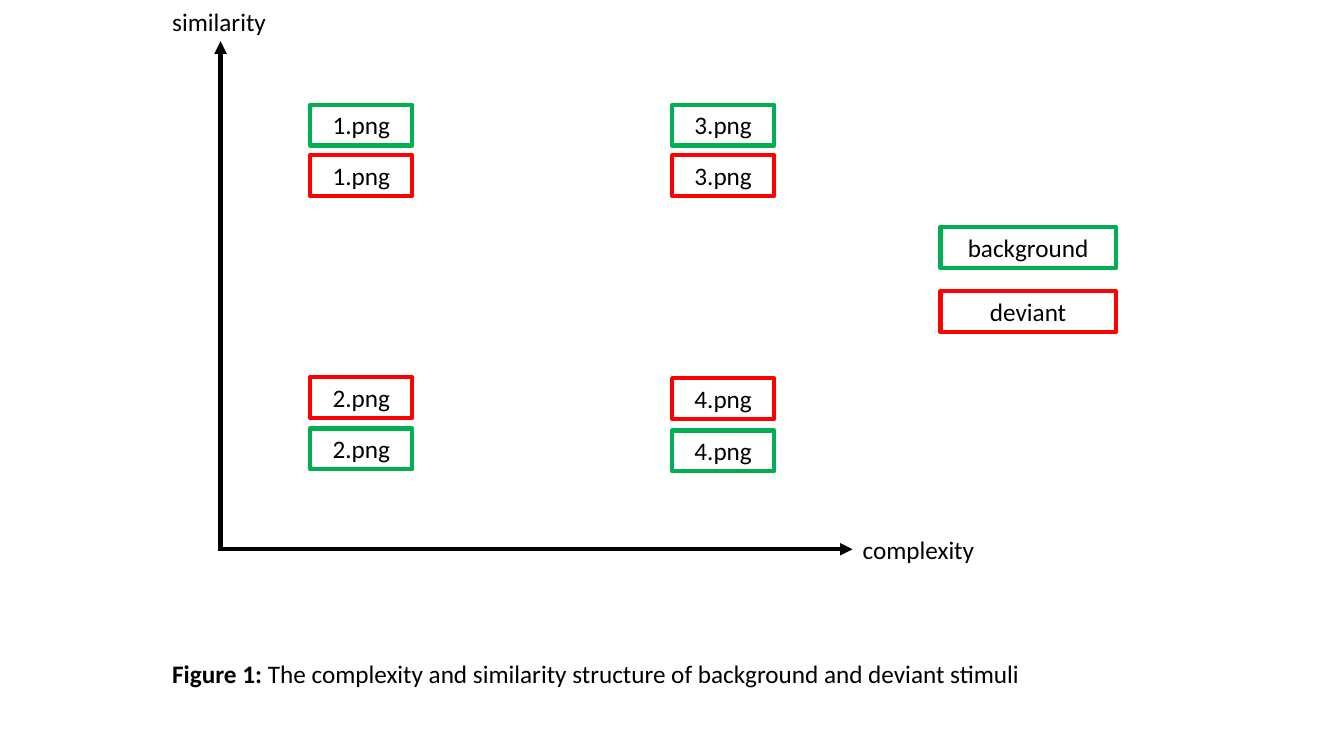
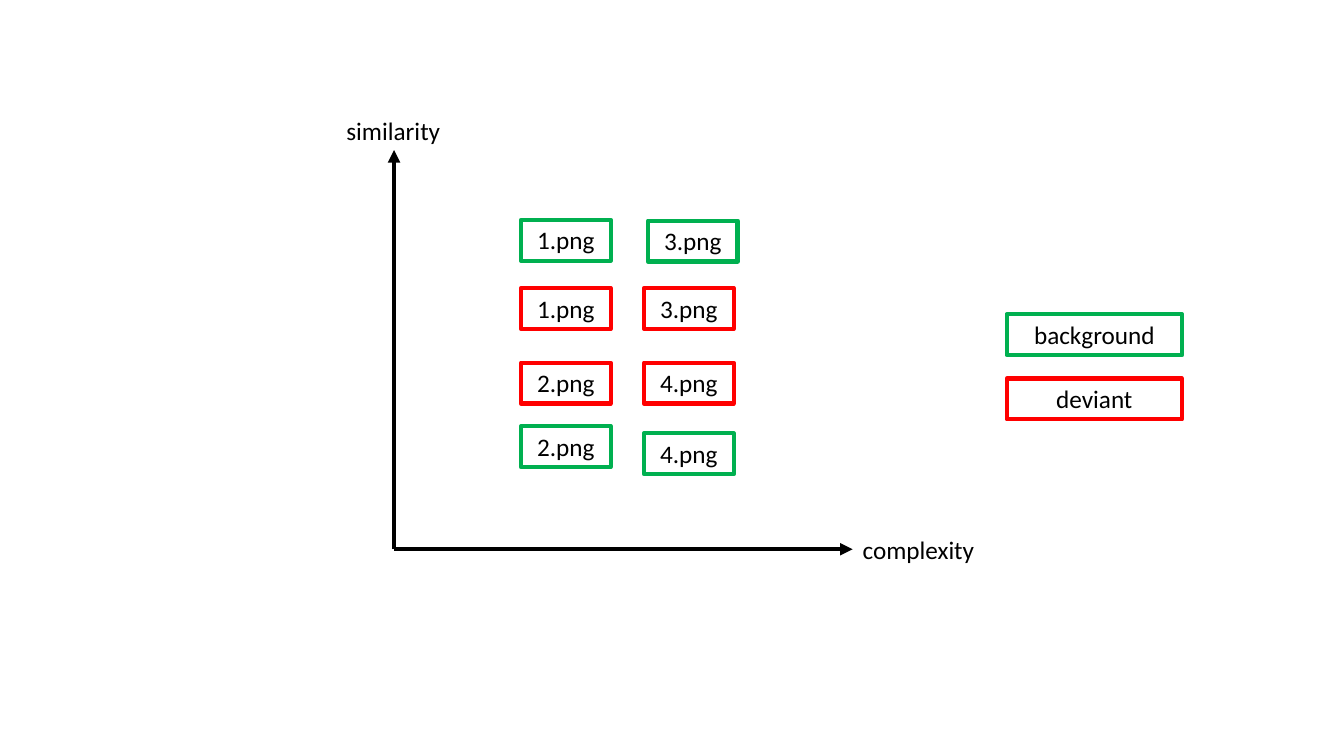
from dataclasses import dataclass

from lxml import etree
from pptx import Presentation
from pptx.dml.color import RGBColor
from pptx.enum.shapes import MSO_CONNECTOR, MSO_SHAPE
from pptx.enum.text import MSO_ANCHOR, MSO_AUTO_SIZE, PP_ALIGN
from pptx.oxml.ns import qn
from pptx.util import Cm, Pt

RECT = MSO_SHAPE.RECTANGLE
STRAIGHT = MSO_CONNECTOR.STRAIGHT
TOP = MSO_ANCHOR.TOP
GROW = MSO_AUTO_SIZE.SHAPE_TO_FIT_TEXT
LEFT, CENTER = PP_ALIGN.LEFT, PP_ALIGN.CENTER


@dataclass(frozen=True)
class Theme:
    ink: RGBColor = RGBColor(0x00, 0x00, 0x00)
    green: RGBColor = RGBColor(0x00, 0xB0, 0x50)
    red: RGBColor = RGBColor(0xFF, 0x00, 0x00)
    font: str = "Calibri"
    size: Pt = Pt(18)
    stroke: Pt = Pt(3)
    row: Cm = Cm(1.03)
    key: float = 4.42


class Deck:
    def __init__(self, theme):
        self.theme = theme
        self.file = Presentation()
        self.file.slide_width = Cm(33.87)
        self.file.slide_height = Cm(19.05)
        self.slide = None

    def page(self):
        self.slide = self.file.slides.add_slide(self.file.slide_layouts[6])

    def letter(self, shape, runs, align):
        frame = shape.text_frame
        frame.word_wrap = True
        frame.auto_size = GROW
        frame.vertical_anchor = TOP
        para = frame.paragraphs[0]
        para.alignment = align
        for text, bold in runs:
            run = para.add_run()
            run.text = text
            run.font.name = self.theme.font
            run.font.size = self.theme.size
            run.font.bold = bold
            run.font.color.rgb = self.theme.ink

    def label(self, x, y, width, *runs):
        box = self.slide.shapes.add_textbox(Cm(x), Cm(y), Cm(width), self.theme.row)
        self.letter(box, runs, LEFT)

    def box(self, x, y, width, text, color):
        box = self.slide.shapes.add_shape(RECT, Cm(x), Cm(y), Cm(width), self.theme.row)
        box.shadow.inherit = False
        box.fill.background()
        box.line.color.rgb = color
        box.line.width = self.theme.stroke
        self.letter(box, [(text, False)], CENTER)

    def arrow(self, start, end):
        points = [Cm(value) for value in (*start, *end)]
        arrow = self.slide.shapes.add_connector(STRAIGHT, *points)
        arrow.line.color.rgb = self.theme.ink
        arrow.line.width = self.theme.stroke
        props = arrow.element.spPr
        etree.SubElement(props.find(qn("a:ln")), qn("a:tailEnd"), type="triangle")
        etree.SubElement(props, qn("a:effectLst"))

    def axes(self, x, low, top, start, name):
        self.arrow((x, low), (x, top))
        self.arrow((start, 13.84), (21.49, 13.84))
        self.label(21.49, 13.34, 4.42, ("complexity", False))
        self.label(*name, 3.73, ("similarity", False))

    def pairs(self, width, spots):
        # Each pair: background box, then deviant box
        for number, pair in enumerate(spots, 1):
            for (x, y), color in zip(pair, (self.theme.green, self.theme.red)):
                self.box(x, y, width, f"{number}.png", color)

    def legend(self, x, y):
        self.box(x, y, self.theme.key, "background", self.theme.green)
        self.box(x, y + 1.62, self.theme.key, "deviant", self.theme.red)


deck = Deck(Theme())

# Slide 1: widely spaced stimuli
deck.page()
deck.axes(5.56, 13.89, 1.04, 5.49, (4.09, 0.03))
near, far = 7.82, 16.94
deck.pairs(2.57, [
    ((near, 2.64), (near, 3.91)),
    ((near, 10.8), (near, 9.5)),
    ((far, 2.64), (far, 3.91)),
    ((far, 10.85), (far, 9.53)),
])
deck.legend(23.7, 5.72)
deck.label(
    4.09, 16.46, 22.07,
    ("Figure 1: ", True),
    ("The complexity and similarity structure of background and deviant stimuli ", False),
)

# Slide 2: closely spaced stimuli
deck.page()
deck.axes(9.93, 13.84, 3.78, 9.93, (8.48, 2.77))
near, far = 13.13, 16.23
deck.pairs(2.26, [
    ((near, 5.54), (near, 7.26)),
    ((near, 10.74), (near, 9.14)),
    ((far + 0.1, 5.56), (far, 7.26)),
    ((far, 10.92), (far, 9.14)),
])
deck.legend(25.37, 7.92)

deck.file.save("out.pptx")
